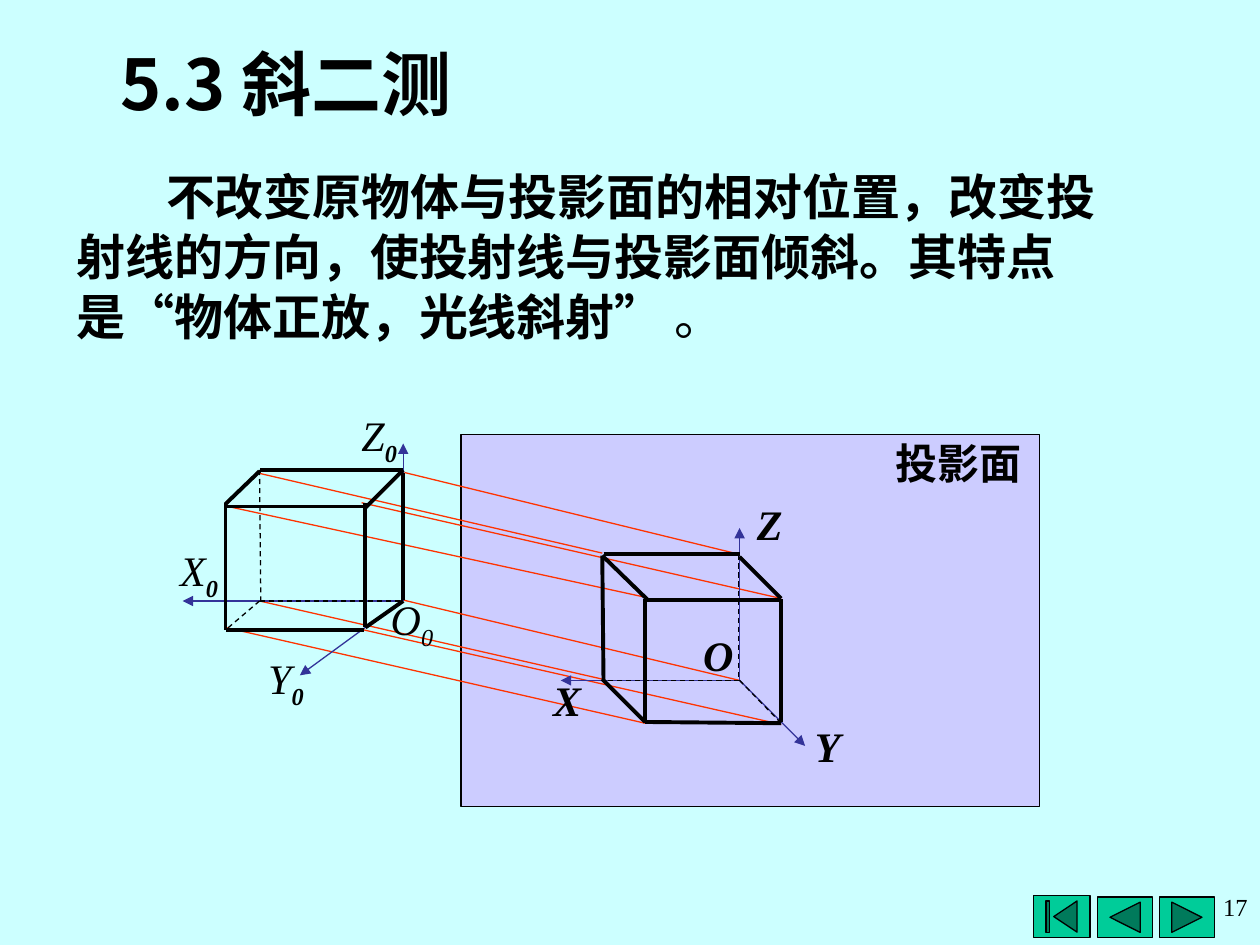
from pptx import Presentation
from pptx.dml.color import RGBColor
from pptx.enum.dml import MSO_LINE
from pptx.enum.shapes import MSO_CONNECTOR, MSO_SHAPE
from pptx.enum.text import MSO_ANCHOR, PP_ALIGN
from pptx.oxml.ns import qn
from pptx.util import Inches, Pt
from lxml import etree


def color(value):
    return RGBColor.from_string(value)


def add_text(box, runs, align=PP_ALIGN.LEFT, anchor=MSO_ANCHOR.TOP, wrap=True):
    label = slide.shapes.add_textbox(*map(Inches, box))
    frame = label.text_frame
    frame.word_wrap = wrap
    frame.vertical_anchor = anchor
    paragraph = frame.paragraphs[0]
    paragraph.alignment = align
    for text, size, font, bold, italic, baseline in runs:
        run = paragraph.add_run()
        run.text = text
        run.font.size = Pt(size)
        run.font.name = font
        run.font.bold = bold
        run.font.italic = italic
        run.font.color.rgb = color("000000")
        properties = run.font._element
        etree.SubElement(properties, qn("a:ea")).set("typeface", SANS)
        if baseline:
            properties.set("baseline", str(baseline))
    return paragraph


SANS = "Noto Sans CJK SC"
SERIF = "Times New Roman"

prs = Presentation()
prs.slide_width = Inches(10)
prs.slide_height = Inches(7.5)
slide = prs.slides.add_slide(prs.slide_layouts[6])
slide.background.fill.solid()
slide.background.fill.fore_color.rgb = color("CCFFFF")

buttons = [
    (MSO_SHAPE.ACTION_BUTTON_FORWARD_OR_NEXT, 9.2, 7.12, 0.44, 0.32),
    (MSO_SHAPE.ACTION_BUTTON_BACK_OR_PREVIOUS, 8.71, 7.12, 0.44, 0.32),
    (MSO_SHAPE.ACTION_BUTTON_BEGINNING, 8.2, 7.11, 0.45, 0.33),
]
projection_plane = (MSO_SHAPE.RECTANGLE, 3.66, 3.45, 4.59, 2.95)
for kind, *box in buttons + [projection_plane]:
    panel = slide.shapes.add_shape(kind, *map(Inches, box))
    panel.shadow.inherit = False
    panel.fill.solid()
    panel.fill.fore_color.rgb = color("CCCCFF" if kind == MSO_SHAPE.RECTANGLE else "00CC99")
    panel.line.color.rgb = color("000000")
    panel.line.width = Pt(0.75)

add_text((0.86, 0.27, 5.19, 0.77), [("5.3 斜二测", 40, SANS, True, False, 0)],
         anchor=MSO_ANCHOR.MIDDLE)
explanation = add_text((0.51, 1.26, 8.6, 1.57), [
    ("不改变原物体与投影面的相对位置，改变投射线的方向，使投射线与投影面倾斜。", 28, SERIF, True, False, 0),
    ("其特点是“物体正放，光线斜射”", 28, SANS, True, False, 0),
    (" 。", 28, SANS, False, False, 0),
])
explanation.line_spacing = Pt(34.3)
explanation._p.get_or_add_pPr().set("indent", str(Inches(0.71)))
add_text((6.99, 3.42, 1.23, 0.5), [("投影面", 24, SERIF, True, False, 0)],
         PP_ALIGN.CENTER, MSO_ANCHOR.MIDDLE)

projection_rays = [
    (3.21, 3.75, 5.87, 4.4), (2.03, 3.75, 4.78, 4.39),
    (2.87, 3.99, 6.2, 4.75), (1.81, 4.02, 5.12, 4.74),
    (3.19, 4.76, 5.87, 5.4), (2.06, 4.77, 4.78, 5.39),
    (1.79, 4.98, 5.12, 5.74), (2.89, 5, 6.2, 5.75),
]
axes = [
    (3.2, 4.77, 1.45, 4.77), (3.2, 4.77, 3.2, 3.52), (3.2, 4.76, 2.38, 5.36),
    (5.87, 5.4, 5.87, 4.19), (5.87, 5.4, 4.45, 5.4), (5.87, 5.4, 6.39, 5.92),
]
object_edges = [
    (3.2, 3.73, 2.06, 3.73), (1.79, 5, 2.89, 5), (2.9, 4.98, 2.9, 3.99),
    (1.79, 4.02, 2.89, 4.02), (1.79, 5, 1.79, 3.99), (3.2, 3.73, 2.9, 4.03),
    (2.06, 3.74, 1.79, 4), (3.2, 3.75, 3.2, 4.76), (3.2, 4.77, 2.9, 4.98),
]
projected_edges = [
    (6.2, 5.73, 6.2, 4.75), (5.12, 5.74, 5.12, 4.75), (4.78, 5.39, 5.12, 5.73),
    (5.12, 5.73, 6.2, 5.74), (4.79, 4.4, 5.87, 4.4), (4.79, 5.4, 4.78, 4.41),
    (4.78, 4.41, 5.14, 4.76), (5.12, 4.76, 6.2, 4.76), (5.87, 4.42, 6.2, 4.75),
]
hidden_edges = [
    (2.06, 3.73, 2.07, 4.77), (2.06, 4.77, 3.2, 4.77), (2.06, 4.77, 1.79, 5),
    (5.86, 4.4, 5.86, 5.4), (5.87, 5.4, 4.79, 5.4), (5.87, 5.4, 6.2, 5.74),
]
line_groups = [
    (projection_rays, "FF3300", 0.75, False, False),
    (axes, "333399", 0.75, False, True),
    (object_edges + projected_edges, "000000", 2.25, False, False),
    (hidden_edges, "000000", 0.75, True, False),
]
for segments, stroke, width, dashed, arrow in line_groups:
    for ends in segments:
        edge = slide.shapes.add_connector(MSO_CONNECTOR.STRAIGHT, *map(Inches, ends))
        edge.line.color.rgb = color(stroke)
        edge.line.width = Pt(width)
        if dashed:
            edge.line.dash_style = MSO_LINE.DASH
        if arrow:
            etree.SubElement(edge.line._get_or_add_ln(), qn("a:tailEnd")).set("type", "triangle")
        etree.SubElement(edge._element.spPr, qn("a:effectLst"))

object_labels = [
    ("O", 3, 4.66, 0.54, False), ("Y", 2.03, 5.13, 0.48, True),
    ("X", 1.33, 4.27, 0.5, True), ("Z", 2.77, 3.2, 0.48, True),
]
for letter, left, top, width, bold_index in object_labels:
    add_text((left, top, width, 0.56), [
        (letter, 24, SERIF, False, True, 0),
        ("0", 24, SERIF, bold_index, True, -25000),
    ], PP_ALIGN.CENTER, MSO_ANCHOR.MIDDLE, False)

projected_labels = [
    ("O", 5.48, 4.95, 0.44), ("X", 4.29, 5.3, 0.42),
    ("Y", 6.37, 5.67, 0.4), ("Z", 5.91, 3.91, 0.4),
]
for letter, left, top, width in projected_labels:
    add_text((left, top, width, 0.5), [(letter, 24, SERIF, True, True, 0)],
             PP_ALIGN.CENTER, MSO_ANCHOR.MIDDLE, False)

page_number = add_text((7.48, 7.03, 2.52, 0.61), [("17", 14, SERIF, False, False, 0)],
                       PP_ALIGN.RIGHT)
page_number.space_before = Pt(8.8)

prs.save("out.pptx")
